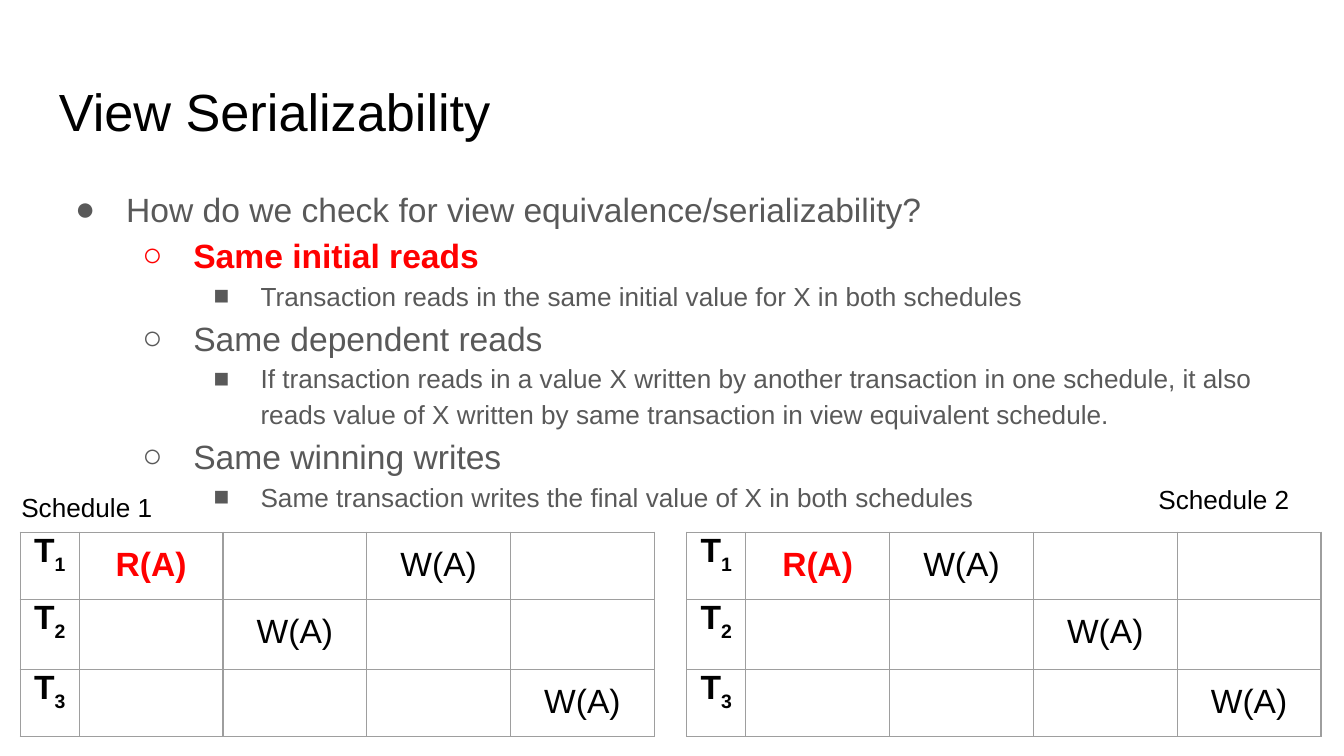
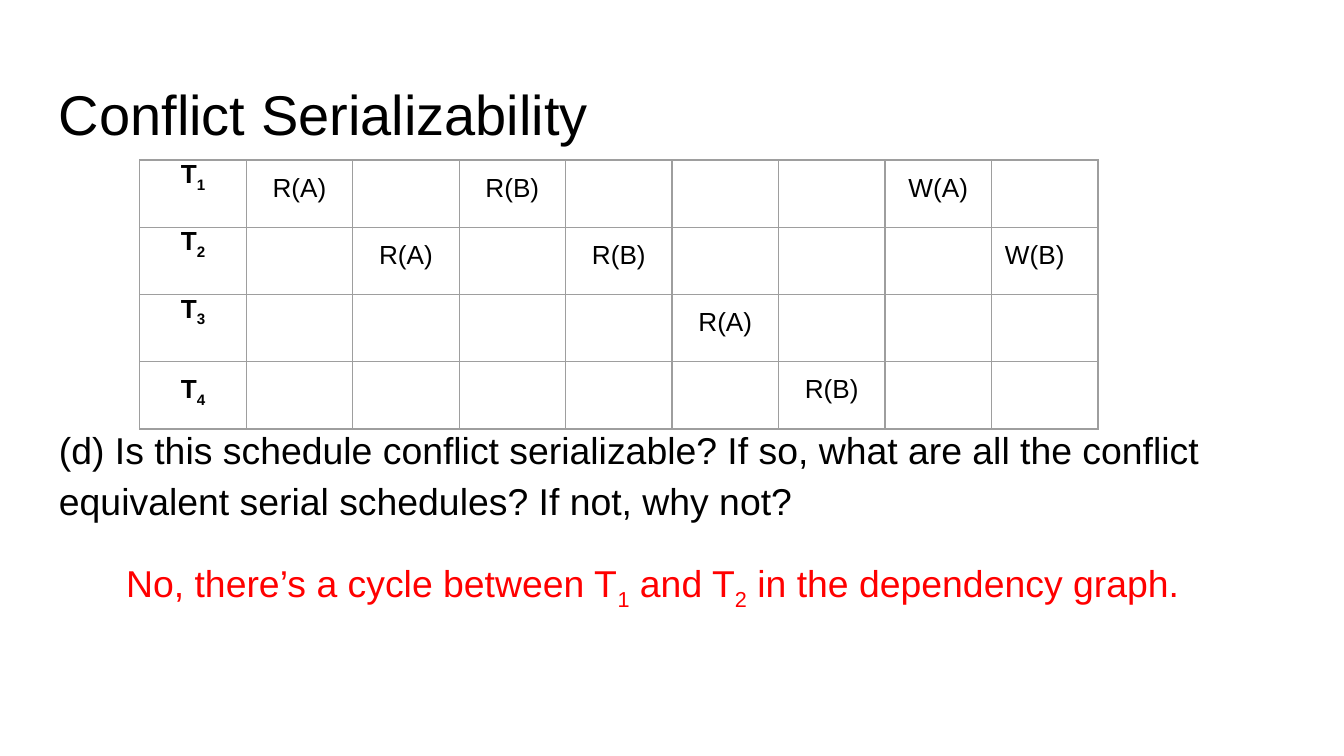
import pptx
import pptx.util
import pptx.dml.color
import pptx.enum.text
import pptx.oxml.ns
import lxml.etree

Inches, Pt, qn = pptx.util.Inches, pptx.util.Pt, pptx.oxml.ns.qn
ALIGN, ANCHOR = pptx.enum.text.PP_ALIGN, pptx.enum.text.MSO_ANCHOR

WIDTH = 10
HEIGHT = WIDTH * 9 / 16
LEFT = 0.34
INSET = 0.1
TABLE_FRAME = 3.28  # nominal frame side; columns and rows set the drawn size
FONT = "Arial"
COLORS = {"text": "000000", "body": "595959", "accent": "FF0000", "grid": "9E9E9E"}

# An underscore makes the next character a subscript.
# Bullets: (level, text, highlighted)
VIEW_CHECKS = [
    (0, "How do we check for view equivalence/serializability?", False),
    (1, "Same initial reads", True),
    (2, "Transaction reads in the same initial value for X in both schedules", False),
    (1, "Same dependent reads", False),
    (2, "If transaction reads in a value X written by another transaction in one schedule, "
        "it also reads value of X written by same transaction in view equivalent schedule.", False),
    (1, "Same winning writes", False),
    (2, "Same transaction writes the final value of X in both schedules", False),
]
LEVELS = [  # mark, size, hanging indent
    ("●", 18, 0.38),
    ("○", 18, 0.38),
    ("■", 14, 0.35),
]

# Schedules: one dict per transaction, time step -> operation
VIEW_SCHEDULES = [
    {"name": "Schedule 1", "label_at": (0.06, 3.56), "left": 0.15,
     "steps": [{1: "R(A)", 3: "W(A)"}, {2: "W(A)"}, {4: "W(A)"}]},
    {"name": "Schedule 2", "label_at": (8.52, 3.5), "left": 5.11,
     "steps": [{1: "R(A)", 2: "W(A)"}, {3: "W(A)"}, {4: "W(A)"}]},
]
CONFLICT_STEPS = [
    {1: "R(A)", 3: "R(B)", 7: "W(A)"},
    {2: "R(A)", 4: "R(B)", 8: "W(B)"},
    {5: "R(A)"},
    {6: "R(B)"},
]
QUESTION = ("(d) Is this schedule conflict serializable? If so, what are all the conflict "
            "equivalent serial schedules? If not, why not?")
ANSWER = "No, there’s a cycle between T_1 and T_2 in the dependency graph."


def rgb(name):
    return pptx.dml.color.RGBColor.from_string(COLORS[name])


def add_run(p, text, size, color, bold, subscript=False):
    r = p.add_run()
    r.text = text
    r.font.name, r.font.size, r.font.bold = FONT, Pt(size), bold
    r.font.color.rgb = rgb(color)
    if subscript:
        r._r.get_or_add_rPr().set("baseline", "-25000")


def add_text(p, text, size, color="text", bold=False):
    first, *rest = text.split("_")
    add_run(p, first, size, color, bold)
    for part in rest:
        add_run(p, part[0], size, color, bold, subscript=True)
        if part[1:]:
            add_run(p, part[1:], size, color, bold)


def set_insets(target, top=INSET, bottom=INSET):
    target.margin_left = target.margin_right = Inches(INSET)
    target.margin_top, target.margin_bottom = Inches(top), Inches(bottom)


def add_box(s, left, top, width, height):
    tf = s.shapes.add_textbox(*map(Inches, (left, top, width, height))).text_frame
    tf.word_wrap = True
    set_insets(tf)
    return tf


def add_slide(prs, title, size):
    s = prs.slides.add_slide(prs.slide_layouts[6])
    tf = add_box(s, LEFT, 0.49, WIDTH - 2 * LEFT, 0.63)
    add_text(tf.paragraphs[0], title, size)
    return s


def set_bullet(p, level, color):
    mark, _, hang = LEVELS[level]
    pPr = p._p.get_or_add_pPr()
    pPr.set("marL", str(Inches(0.5 * (level + 1))))
    pPr.set("indent", str(-Inches(hang)))
    bu_color = lxml.etree.SubElement(pPr, qn("a:buClr"))
    lxml.etree.SubElement(bu_color, qn("a:srgbClr"), val=COLORS[color])
    lxml.etree.SubElement(pPr, qn("a:buFont"), typeface=FONT)
    lxml.etree.SubElement(pPr, qn("a:buChar"), char=mark)


def add_bullets(tf, items):
    for i, (level, text, highlighted) in enumerate(items):
        p = tf.add_paragraph() if i else tf.paragraphs[0]
        p.level, p.line_spacing = level, 1.15
        color = "accent" if highlighted else "body"
        set_bullet(p, level, color)
        add_text(p, text, LEVELS[level][1], color, highlighted)


def style_cell(cell):
    tcPr = cell._tc.get_or_add_tcPr()
    for side in ("a:lnL", "a:lnR", "a:lnT", "a:lnB"):
        ln = lxml.etree.SubElement(tcPr, qn(side), w=str(Pt(0.75)))
        fill = lxml.etree.SubElement(ln, qn("a:solidFill"))
        lxml.etree.SubElement(fill, qn("a:srgbClr"), val=COLORS["grid"])
    cell.fill.background()
    set_insets(cell)


def add_schedule(s, left, top, cols, rows, steps, size, highlight=None):
    """Draw a grid of transactions (rows) against time steps (columns)."""
    frame = s.shapes.add_table(len(rows), len(cols), Inches(left), Inches(top),
                               Inches(sum(cols)), Inches(sum(rows)))
    table = frame.table
    table.first_row = table.horz_banding = False
    for column, width in zip(table.columns, cols):
        column.width = Inches(width)
    for row, height in zip(table.rows, rows):
        row.height = Inches(height)
    frame.width = frame.height = Inches(TABLE_FRAME)
    for i, operations in enumerate(steps):
        for j in range(len(cols)):
            cell = table.cell(i, j)
            style_cell(cell)
            p = cell.text_frame.paragraphs[0]
            p.alignment = ALIGN.CENTER
            if j == 0:
                cell.margin_top = 0
                add_text(p, f"T_{i + 1}", size, bold=True)
            elif j in operations:
                hot = operations[j] == highlight
                add_text(p, operations[j], size, "accent" if hot else "text", hot)
            else:
                end = lxml.etree.SubElement(p._p, qn("a:endParaRPr"), sz="1800")
                lxml.etree.SubElement(end, qn("a:latin"), typeface=FONT)
    return table


def build_view_slide(prs):
    s = add_slide(prs, "View Serializability", 28)
    add_bullets(add_box(s, LEFT, 1.26, 9.39, 2.21), VIEW_CHECKS)
    for schedule in VIEW_SCHEDULES:
        add_schedule(s, schedule["left"], 3.96, [0.44] + [1.07] * 4, [0.11, 0.52, 0.48],
                     schedule["steps"], 18, highlight="R(A)")
    for schedule in VIEW_SCHEDULES:
        tf = add_box(s, *schedule["label_at"], 1.31, 0.44)
        tf.auto_size = pptx.enum.text.MSO_AUTO_SIZE.SHAPE_TO_FIT_TEXT
        add_text(tf.paragraphs[0], schedule["name"], 14)


def build_conflict_slide(prs):
    s = add_slide(prs, "Conflict Serializability", 30)
    tf = add_box(s, LEFT, 1.26, WIDTH - 2 * LEFT, 3.67)
    tf.vertical_anchor = ANCHOR.BOTTOM  # keeps the text below the table
    set_insets(tf, bottom=0.38)
    question, answer = tf.paragraphs[0], tf.add_paragraph()
    question.line_spacing = answer.line_spacing = 1.15
    answer.space_before = Pt(16)
    answer._p.get_or_add_pPr().set("marL", str(Inches(0.5)))
    add_text(question, QUESTION, 20)
    add_text(answer, ANSWER, 20, "accent")

    table = add_schedule(s, 1.04, 1.19, [7.13 / 9] * 9, [0.42] * 4, CONFLICT_STEPS, 14)
    table.cell(3, 0).margin_top = Inches(INSET)
    table.cell(1, 8).text_frame.paragraphs[0].alignment = ALIGN.LEFT


def main():
    prs = pptx.Presentation()
    prs.slide_width, prs.slide_height = Inches(WIDTH), Inches(HEIGHT)
    build_view_slide(prs)
    build_conflict_slide(prs)
    prs.save("out.pptx")


if __name__ == "__main__":
    main()
